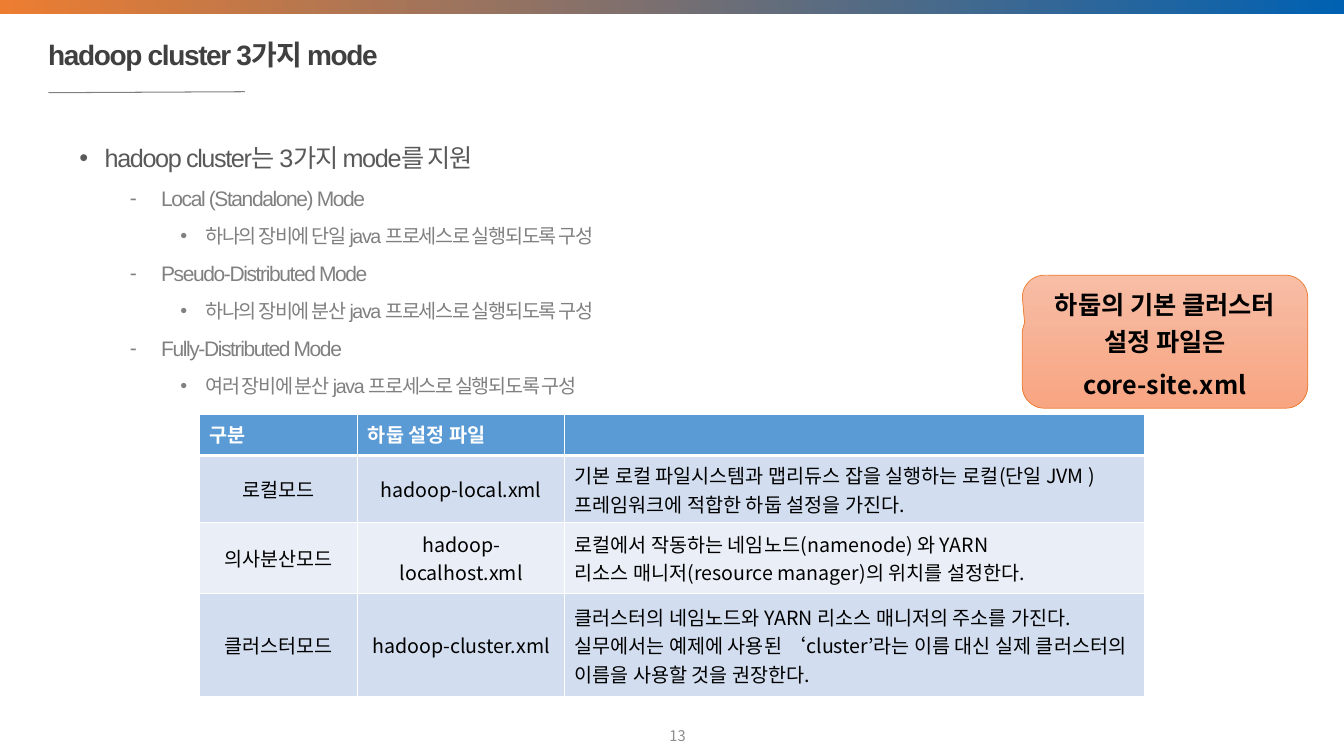
from lxml import etree
from pptx import Presentation
from pptx.dml.color import RGBColor
from pptx.enum.shapes import MSO_CONNECTOR, MSO_SHAPE
from pptx.enum.text import MSO_ANCHOR, PP_ALIGN
from pptx.oxml.ns import qn
from pptx.util import Inches, Pt

RECT = MSO_SHAPE.RECTANGLE
CALLOUT = MSO_SHAPE.ROUNDED_RECTANGULAR_CALLOUT
STRAIGHT = MSO_CONNECTOR.STRAIGHT
MIDDLE, TOP = MSO_ANCHOR.MIDDLE, MSO_ANCHOR.TOP
CENTER, LEFT = PP_ALIGN.CENTER, PP_ALIGN.LEFT

WHITE = RGBColor(0xFF, 0xFF, 0xFF)
BLACK = RGBColor(0, 0, 0)
DARK = RGBColor(0x40, 0x40, 0x40)
SLATE = RGBColor(0x59, 0x59, 0x59)
GRAY = RGBColor(0x80, 0x80, 0x80)
PALE = RGBColor(0x8C, 0x8C, 0x8C)
ORANGE = RGBColor(0xED, 0x7D, 0x31)
BLUE = RGBColor(0x00, 0x61, 0xB2)
PEACH = RGBColor(0xF7, 0xBD, 0xA5)
SALMON = RGBColor(0xF8, 0xA5, 0x82)
HEAD = RGBColor(0x5B, 0x9B, 0xD5)
BANDS = (RGBColor(0xD2, 0xDE, 0xEF), RGBColor(0xEA, 0xEF, 0xF7))

SANS, KOREAN = "Arial", "Noto Sans CJK KR"

LEVELS = (
    (0.25, -0.25, "•", 18, SLATE),
    (0.81, -0.31, "-", 15, GRAY),
    (1.25, -0.25, "•", 14, GRAY),
)
POINTS = (
    (0, "hadoop cluster는 3가지 mode를 지원"),
    (1, "Local (Standalone) Mode"),
    (2, "하나의 장비에 단일 java 프로세스로 실행되도록 구성"),
    (1, "Pseudo-Distributed Mode"),
    (2, "하나의 장비에 분산 java 프로세스로 실행되도록 구성"),
    (1, "Fully-Distributed Mode"),
    (2, "여러 장비에 분산 java 프로세스로 실행되도록 구성"),
)
COLS = (1.57, 2.05, 5.75)
ROWS = (0.41, 0.66, 0.71, 1.02)
CELLS = (
    ("구분", "하둡 설정 파일", ""),
    ("로컬모드", "hadoop-local.xml",
     "기본 로컬 파일시스템과 맵리듀스 잡을 실행하는 로컬(단일 JVM ) "
     "프레임워크에 적합한 하둡 설정을 가진다."),
    ("의사분산모드", "hadoop-localhost.xml",
     "로컬에서 작동하는 네임노드(namenode) 와 YARN\n"
     "리소스 매니저(resource manager)의 위치를 설정한다."),
    ("클러스터모드", "hadoop-cluster.xml",
     "클러스터의 네임노드와 YARN 리소스 매니저의 주소를 가진다. "
     "실무에서는 예제에 사용된 ‘cluster’라는 이름 대신 실제 클러스터의 "
     "이름을 사용할 것을 권장한다."),
)


def add_run(para, text, size, color, font=KOREAN, bold=False, track=0):
    run = para.add_run()
    run.text = text
    run.font.size = Pt(size)
    run.font.bold = bold
    run.font.color.rgb = color
    run.font.name = font
    props = run.font._element
    etree.SubElement(props, qn("a:ea")).set("typeface", KOREAN)
    if track:
        props.set("spc", str(track * 100))


def next_para(frame, index):
    return frame.add_paragraph() if index else frame.paragraphs[0]


def add_box(slide, box, anchor=TOP):
    frame = slide.shapes.add_textbox(*map(Inches, box)).text_frame
    frame.word_wrap = True
    frame.vertical_anchor = anchor
    return frame


def shade(shape, start, end, angle):
    shape.shadow.inherit = False
    shape.fill.gradient()
    shape.fill.gradient_angle = angle
    for stop, color, place in zip(shape.fill.gradient_stops, (start, end), (0, 1)):
        stop.color.rgb = color
        stop.position = place


def add_header(slide, box):
    left, top, width, height = box
    band = slide.shapes.add_shape(RECT, 0, 0, Inches(13.33), Inches(0.14))
    shade(band, ORANGE, BLUE, 0)
    band.line.fill.background()
    para = add_box(slide, box, MIDDLE).paragraphs[0]
    para.line_spacing = 0.9
    add_run(para, "hadoop cluster 3가지 mode", 20, DARK, SANS, True, -1)
    base = top + height
    rule = slide.shapes.add_connector(
        STRAIGHT, Inches(left + 0.1), Inches(base + 0.14),
        Inches(left + 2.05), Inches(base + 0.13))
    rule.line.color.rgb = GRAY
    rule.line.width = Pt(0.75)
    etree.SubElement(rule._element.spPr, qn("a:effectLst"))


def add_points(slide, box):
    frame = add_box(slide, box)
    for index, (level, text) in enumerate(POINTS):
        margin, indent, mark, size, color = LEVELS[level]
        para = next_para(frame, index)
        para.level = level
        para.line_spacing = 1.25
        para.space_before = Pt(5 if index else 0)
        props = para._p.get_or_add_pPr()
        props.set("marL", str(Inches(margin)))
        props.set("indent", str(Inches(indent)))
        etree.SubElement(props, qn("a:buFont")).set("typeface", SANS)
        etree.SubElement(props, qn("a:buChar")).set("char", mark)
        add_run(para, text, size, color, SANS, track=-1)


def add_edges(cell, base):
    props = cell._tc.get_or_add_tcPr()
    widths = (("L", 1), ("R", 1), ("T", 1), ("B", base))
    for index, (side, width) in enumerate(widths):
        edge = etree.Element(qn("a:ln" + side), w=str(Pt(width)))
        fill = etree.SubElement(edge, qn("a:solidFill"))
        etree.SubElement(fill, qn("a:srgbClr")).set("val", str(WHITE))
        props.insert(index, edge)


def add_grid(slide, box):
    table = slide.shapes.add_table(len(ROWS), len(COLS), *map(Inches, box)).table
    for col, width in zip(table.columns, COLS):
        col.width = Inches(width)
    for row, height in zip(table.rows, ROWS):
        row.height = Inches(height)
    for y, texts in enumerate(CELLS):
        head = y == 0
        for x, text in enumerate(texts):
            cell = table.cell(y, x)
            cell.fill.solid()
            cell.fill.fore_color.rgb = HEAD if head else BANDS[(y - 1) % 2]
            cell.vertical_anchor = TOP if head else MIDDLE
            add_edges(cell, 3 if head else 1)
            if not text:
                continue
            for index, line in enumerate(text.split("\n")):
                para = next_para(cell.text_frame, index)
                para.alignment = LEFT if head or x == 2 else CENTER
                add_run(para, line, 14, WHITE if head else BLACK, bold=head)


def add_callout(slide, box):
    shape = slide.shapes.add_shape(CALLOUT, *map(Inches, box))
    for index, value in enumerate((-0.492, -0.144, 0.167)):
        shape.adjustments[index] = value
    shade(shape, PEACH, SALMON, 270)
    shape.line.color.rgb = ORANGE
    shape.line.width = Pt(0.5)
    frame = shape.text_frame
    frame.word_wrap = True
    frame.vertical_anchor = MIDDLE
    for index, text in enumerate(("하둡의 기본 클러스터 설정 파일은", "core-site.xml")):
        para = next_para(frame, index)
        para.alignment = CENTER
        para.line_spacing = 1.2
        para.space_before = Pt(5.4 if index else 0)
        add_run(para, text, 18, BLACK, bold=True)


def add_number(slide, box):
    para = add_box(slide, box, MIDDLE).paragraphs[0]
    para.alignment = CENTER
    add_run(para, "13", 10.5, PALE)


def main():
    deck = Presentation()
    deck.slide_width, deck.slide_height = Inches(13.33), Inches(7.5)
    slide = deck.slides.add_slide(deck.slide_layouts[6])
    add_header(slide, (0.38, 0.33, 7.37, 0.45))
    add_points(slide, (0.69, 1.29, 12.04, 5.6))
    add_number(slide, (5.22, 7.1, 3, 0.4))
    add_grid(slide, (1.98, 4.11, sum(COLS), sum(ROWS)))
    add_callout(slide, (10.14, 2.73, 2.83, 1.32))
    deck.save("out.pptx")


if __name__ == "__main__":
    main()
